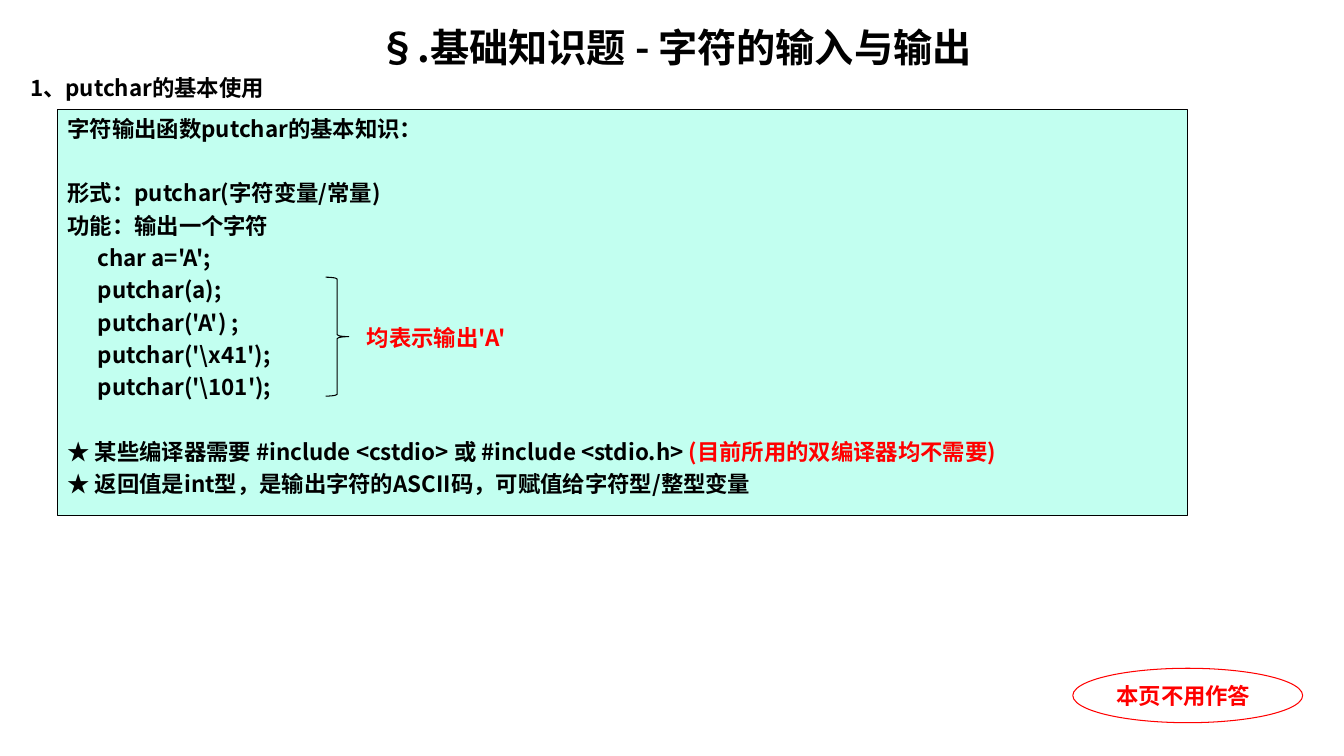
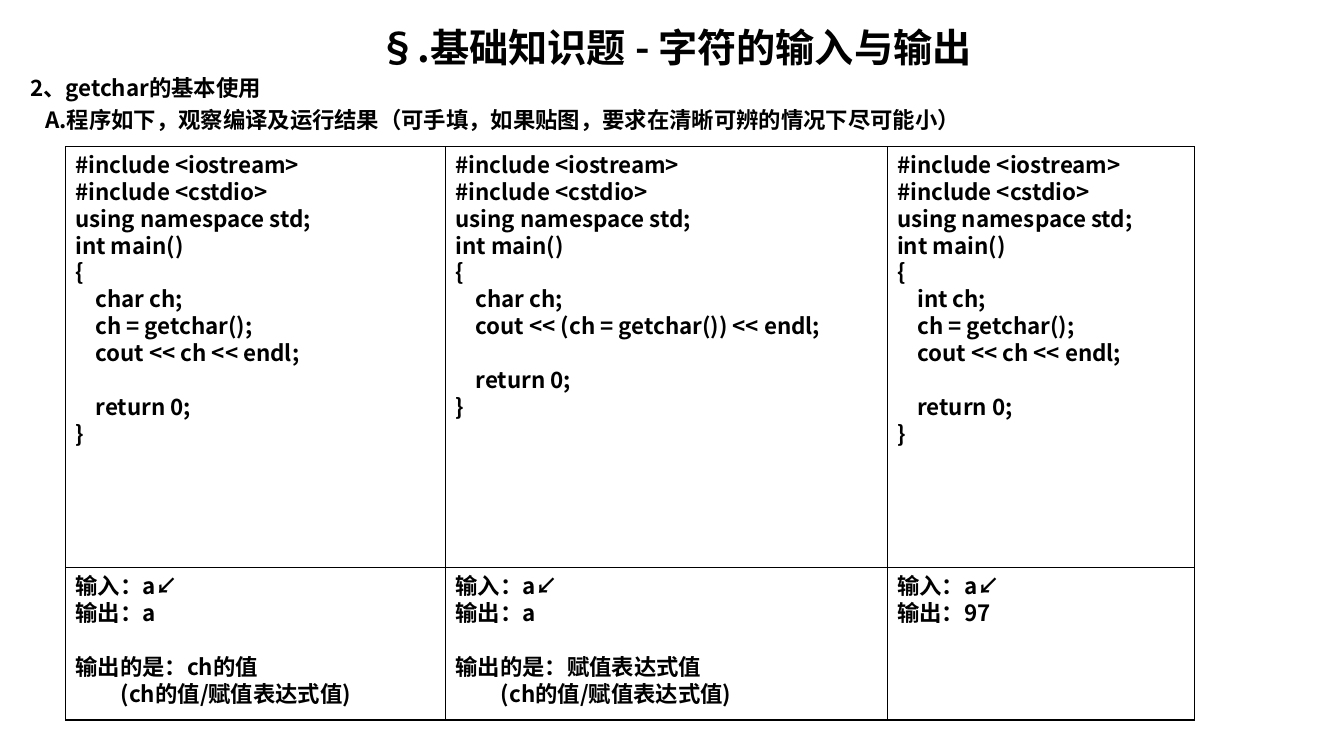
from dataclasses import dataclass
from lxml import etree
from pptx import Presentation
from pptx.dml.color import RGBColor
from pptx.enum.shapes import MSO_SHAPE
from pptx.enum.text import MSO_ANCHOR, PP_ALIGN
from pptx.oxml.ns import qn
from pptx.util import Inches, Pt

RECT = MSO_SHAPE.RECTANGLE
BRACE = MSO_SHAPE.RIGHT_BRACE
OVAL = MSO_SHAPE.OVAL
TOP = MSO_ANCHOR.TOP
MIDDLE = MSO_ANCHOR.MIDDLE
LEFT = PP_ALIGN.LEFT
CENTER = PP_ALIGN.CENTER


@dataclass(frozen=True)
class Theme:
    ink: str = "000000"
    red: str = "FF0000"
    mint: str = "C2FFF0"
    font: str = "Noto Sans CJK SC"
    serif: str = "Times New Roman"
    title: int = 28
    body: int = 16
    line: float = 0.75
    pitch: float = 1.2
    gap: float = 3.9
    head: float = 3.2
    space: float = 0.05


THEME = Theme()


def write(frame, text, size=THEME.body, color=THEME.ink, font=THEME.font,
          align=LEFT, indent=0, before=0, join=False):
    para = frame.paragraphs[-1]
    if not join:
        if para.runs:
            para = frame.add_paragraph()
        para.alignment = align
        para.line_spacing = Pt(size * THEME.pitch)
        para.space_before = Pt(before)
        if indent:
            para._p.get_or_add_pPr().set("marL", str(Inches(indent)))
    run = para.add_run()
    run.text = text
    run.font.size = Pt(size)
    run.font.bold = True
    run.font.color.rgb = RGBColor.from_string(color)
    run.font.name = font
    east = etree.SubElement(run._r.get_or_add_rPr(), qn("a:ea"))
    east.set("typeface", THEME.font)


def block(frame, source, gap=0):
    before = gap
    for line in source.strip("\n").split("\n"):
        text = line.lstrip()
        if text:
            indent = (len(line) - len(text)) * THEME.space
            write(frame, text, indent=indent, before=before)
            before = gap
        else:
            before += THEME.body * THEME.pitch + gap


class Deck:
    def __init__(self):
        self.show = Presentation()
        self.show.slide_width = Inches(13.33)
        self.show.slide_height = Inches(7.5)
        self.slide = None

    def page(self, title):
        self.slide = self.show.slides.add_slide(self.show.slide_layouts[6])
        self.title = title

    def heads(self, text):
        frame = self.label(0.2, 0.18, 12.99, 7.09)
        write(frame, self.title, size=THEME.title, align=CENTER)
        block(frame, text, gap=THEME.head)

    def label(self, x, y, w, h):
        box = self.slide.shapes.add_textbox(*map(Inches, (x, y, w, h)))
        box.text_frame.word_wrap = True
        return box.text_frame

    def shape(self, kind, x, y, w, h, fill=None, line=THEME.ink, anchor=TOP):
        item = self.slide.shapes.add_shape(kind, *map(Inches, (x, y, w, h)))
        item.shadow.inherit = False
        if fill:
            item.fill.solid()
            item.fill.fore_color.rgb = RGBColor.from_string(fill)
        else:
            item.fill.background()
        item.line.color.rgb = RGBColor.from_string(line)
        item.line.width = Pt(THEME.line)
        frame = item.text_frame
        frame.word_wrap = True
        frame.vertical_anchor = anchor
        return frame

    def panes(self, x, y, widths, h, texts):
        for width, text in zip(widths, texts):
            block(self.shape(RECT, x, y, width, h), text)
            x += width


TITLE = "§.基础知识题 - 字符的输入与输出"

BASICS = r"""
字符输出函数putchar的基本知识：

形式：putchar(字符变量/常量)
功能：输出一个字符
      char a='A';
      putchar(a);
      putchar('A') ;
      putchar('\x41');
      putchar('\101');

★ 某些编译器需要 #include <cstdio> 或 #include <stdio.h> """

CODE = """
#include <iostream>
#include <cstdio>
using namespace std;
int main()
{{
    {kind} ch;
{body}

    return 0;
}}
"""
PLAIN = "    ch = getchar();\n    cout << ch << endl;"
NESTED = "    cout << (ch = getchar()) << endl;"

RESULT = "输入：a↙\n输出：{out}"
ANSWER = RESULT + """

输出的是：{what}
         (ch的值/赋值表达式值)
"""


def putchar(deck):
    deck.page(TITLE)
    deck.heads("1、putchar的基本使用")
    frame = deck.shape(RECT, 0.57, 1.09, 11.21, 4.02, fill=THEME.mint)
    block(frame, BASICS, gap=THEME.gap)
    write(frame, "(目前所用的双编译器均不需要)", color=THEME.red, join=True)
    write(frame, "★ 返回值是int型，是输出字符的ASCII码，可赋值给字符型/整型变量",
          before=THEME.gap)
    deck.shape(BRACE, 3.23, 2.75, 0.23, 1.18)
    write(deck.label(3.54, 3.17, 1.89, 0.34), "均表示输出'A'", color=THEME.red)
    frame = deck.shape(OVAL, 10.64, 6.63, 2.28, 0.54, line=THEME.red,
                       anchor=MIDDLE)
    write(frame, "本页不用作答", color=THEME.red, font=THEME.serif)


def getchar(deck):
    left, top, high = 0.65, 1.45, 5.7
    widths = (3.77, 4.38, 3.05)
    deck.page(TITLE)
    deck.shape(RECT, left, top, sum(widths), high)
    deck.heads("2、getchar的基本使用\n"
               "   A.程序如下，观察编译及运行结果"
               "（可手填，如果贴图，要求在清晰可辨的情况下尽可能小）")
    codes = [CODE.format(kind=kind, body=body) for kind, body in
             (("char", PLAIN), ("char", NESTED), ("int", PLAIN))]
    answers = [ANSWER.format(out="a", what=what)
               for what in ("ch的值", "赋值表达式值")]
    answers.append(RESULT.format(out="97"))
    deck.panes(left, top, widths, high, codes)
    deck.panes(left, 5.63, widths, 1.51, answers)


def main():
    deck = Deck()
    putchar(deck)
    getchar(deck)
    deck.show.save("out.pptx")


if __name__ == "__main__":
    main()
